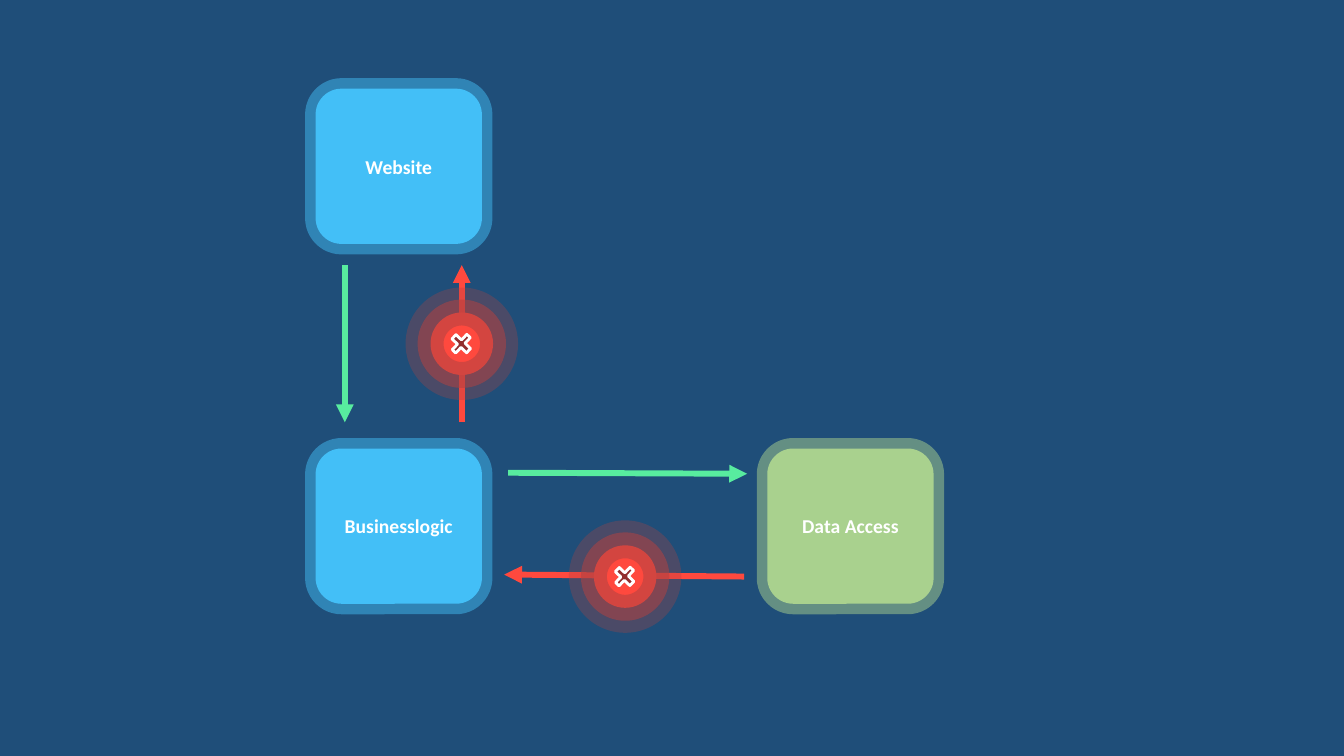
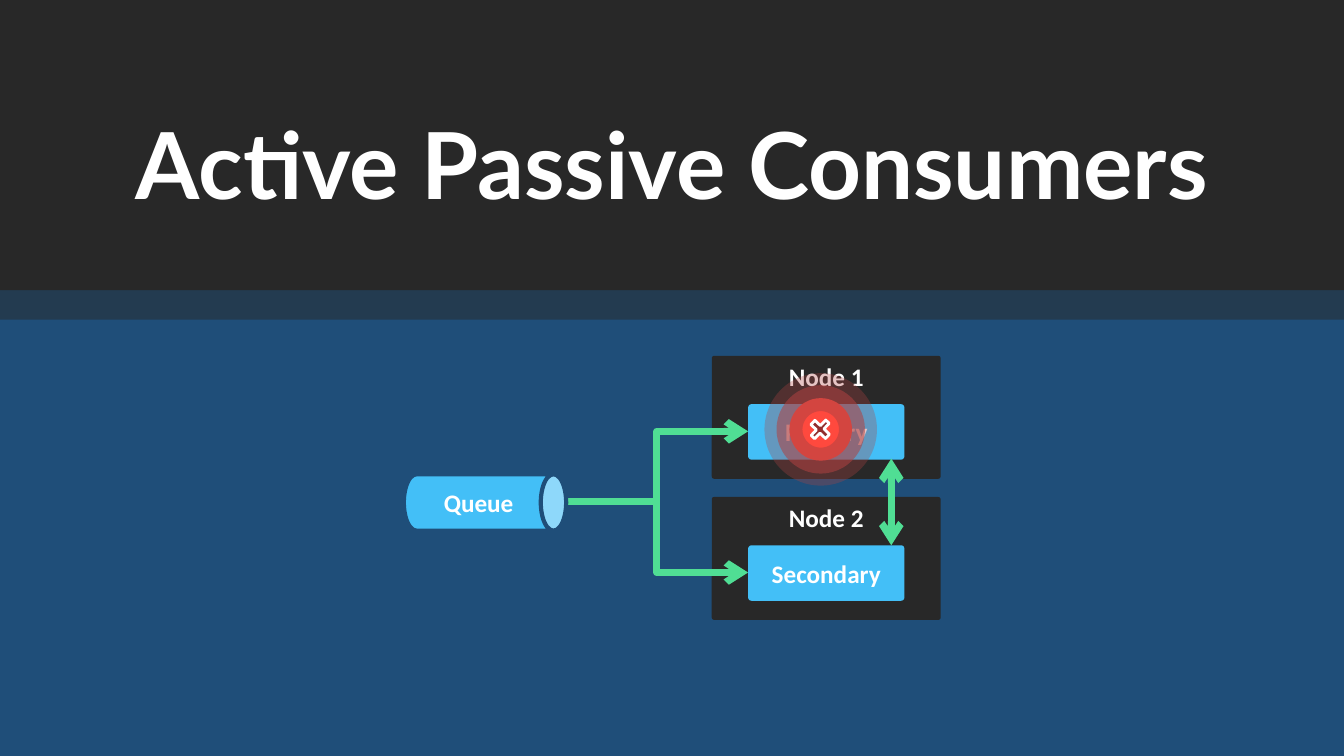
import pptx
import pptx.util
import pptx.dml.color
import pptx.enum.shapes
import pptx.enum.text
import pptx.oxml.ns
import lxml.etree

Inches = pptx.util.Inches
Pt = pptx.util.Pt
qn = pptx.oxml.ns.qn
Kind = pptx.enum.shapes.MSO_SHAPE
Link = pptx.enum.shapes.MSO_CONNECTOR
Anchor = pptx.enum.text.MSO_ANCHOR

INK = {
    "back": "1F4E79", "dark": "282828", "band": "233B50", "blue": "43BFF7",
    "leaf": "A9D18E", "mint": "58EC9F", "green": "50DE94", "red": "FF493E",
    "ring": "B04242", "cross": "922E2E", "white": "FFFFFF", "black": "000000",
}


def tint(name):
    return pptx.dml.color.RGBColor.from_string(INK[name])


def add(node, tag, **attrs):
    return lxml.etree.SubElement(node, qn(tag), attrs)


class Deck:
    small = {"name": "Calibri", "size": Pt(14), "bold": True}
    label = {"name": "Calibri", "size": Pt(18), "bold": True}
    head = {"name": "Lato", "size": Pt(66), "bold": True}

    def __init__(self):
        self.prs = pptx.Presentation()
        self.prs.slide_width = Inches(13.33)
        self.prs.slide_height = Inches(7.5)
        fill = self.prs.slide_master.background.fill
        fill.solid()
        fill.fore_color.rgb = tint("back")

    def page(self, layout):
        base = self.prs.slide_layouts.get_by_name(layout)
        self.slide = self.prs.slides.add_slide(base)

    def text(self, shape, words, style, anchor=Anchor.MIDDLE):
        frame = shape.text_frame
        frame.word_wrap = True
        frame.vertical_anchor = anchor
        para = frame.paragraphs[0]
        para.alignment = pptx.enum.text.PP_ALIGN.CENTER
        run = para.add_run()
        run.text = words
        for key, value in style.items():
            setattr(run.font, key, value)
        run.font.color.rgb = tint("white")
        return run

    def title(self, words, x, y, w, h):
        shape = self.slide.shapes.title
        spot = {"left": x, "top": y, "width": w, "height": h}
        for key, value in spot.items():
            setattr(shape, key, Inches(value))
        shape.text_frame.auto_size = pptx.enum.text.MSO_AUTO_SIZE.NONE
        run = self.text(shape, words, self.head, Anchor.TOP)
        glow = lxml.etree.Element(qn("a:effectLst"))
        cast = add(glow, "a:outerShdw", dist="63500", dir="2700000", algn="tl")
        add(cast, "a:srgbClr", val=INK["black"])
        run.font._element.find(qn("a:solidFill")).addnext(glow)

    def shape(self, kind, x, y, w, h, fill=None, line=None, width=0,
              alpha=100, adj=None, turn=0):
        item = self.slide.shapes.add_shape(
            kind, Inches(x), Inches(y), Inches(w), Inches(h))
        item.shadow.inherit = False
        item.rotation = turn
        if adj is not None:
            item.adjustments[0] = adj
        if fill:
            item.fill.solid()
            item.fill.fore_color.rgb = tint(fill)
        else:
            item.fill.background()
        if line:
            item.line.color.rgb = tint(line)
            item.line.width = Pt(width)
            if alpha < 100:
                mark = item._element.spPr.find(qn("a:ln")).find(".//" + qn("a:srgbClr"))
                add(mark, "a:alpha", val=str(alpha * 1000))
        else:
            item.line.fill.background()
        return item

    def tile(self, words, x, y, fill, alpha):
        item = self.shape(Kind.ROUNDED_RECTANGLE, x, y, 1.65, 1.54,
                          fill, fill, 15, alpha)
        self.text(item, words, self.small)

    def node(self, words, role, x, y):
        box = self.shape(Kind.ROUNDED_RECTANGLE, x, y, 2.27, 1.22,
                         "dark", adj=0.02)
        self.text(box, words, self.label, Anchor.TOP)
        bar = self.shape(Kind.ROUNDED_RECTANGLE, x + 0.36, y + 0.48, 1.55, 0.55,
                         "blue", adj=0.06)
        self.text(bar, role, self.label)

    def queue(self, words, x, y):
        item = self.shape(Kind.CAN, x, y, 0.56, 1.61, "blue", "back", 3,
                          adj=0.45, turn=90)
        self.text(item, words, self.label)
        item._element.txBody.find(qn("a:bodyPr")).set("vert", "vert270")

    def arrow(self, start, end, color, width=4.25, tip="triangle",
              kind=Link.STRAIGHT, both=False):
        ends = [Inches(v) for v in (*start, *end)]
        item = self.slide.shapes.add_connector(kind, *ends)
        item.line.color.rgb = tint(color)
        item.line.width = Pt(width)
        props = item._element.spPr
        line = props.find(qn("a:ln"))
        if both:
            add(line, "a:headEnd", type=tip)
        add(line, "a:tailEnd", type=tip)
        add(props, "a:effectLst")

    def fault(self, x, y):
        for fill, width, alpha in ((None, 35.75, 31), ("red", 18.5, 54)):
            self.shape(Kind.OVAL, x, y, 0.62, 0.62, fill, "ring", width, alpha)
        self.shape(Kind.CROSS, x + 0.2, y + 0.21, 0.21, 0.2, "cross", "white", 2,
                   adj=0.38, turn=313.5)


def layers(deck):
    deck.page("Blank")
    deck.tile("Data Access", 7.61, 4.45, "leaf", 50)
    for words, y in (("Website", 0.88), ("Businesslogic", 4.45)):
        deck.tile(words, 3.13, y, "blue", 48)
    deck.arrow((4.58, 4.19), (4.58, 2.63), "red")
    deck.arrow((3.42, 2.63), (3.42, 4.19), "mint")
    deck.fault(4.27, 3.1)
    deck.arrow((5.04, 4.69), (7.41, 4.7), "mint")
    deck.arrow((7.38, 5.72), (5, 5.7), "red")
    deck.fault(5.89, 5.41)


def nodes(deck):
    deck.page("Title Only")
    tree = deck.slide.shapes.title._element
    for y, h, fill in ((2.88, 0.29, "band"), (0, 2.88, "dark")):
        band = deck.shape(Kind.RECTANGLE, 0, y, 13.33, h, fill)
        tree.addprevious(band._element)
    deck.title("Active Passive Consumers", 0, 1.01, 13.33, 1.21)
    pairs = (("Node 1", "Primary"), ("Node 2", "Secondary"))
    for i, (words, role) in enumerate(pairs):
        y = 3.53 + 1.4 * i
        deck.node(words, role, 7.06, y)
        deck.arrow((5.61, 4.98), (7.42, y + 0.75), "green", 5, "arrow", Link.ELBOW)
    deck.queue("Queue", 4.53, 4.18)
    deck.arrow((8.84, 5.41), (8.84, 4.55), "green", 5, "arrow", both=True)
    deck.fault(7.83, 3.95)


def main():
    deck = Deck()
    layers(deck)
    nodes(deck)
    deck.prs.save("out.pptx")


if __name__ == "__main__":
    main()
